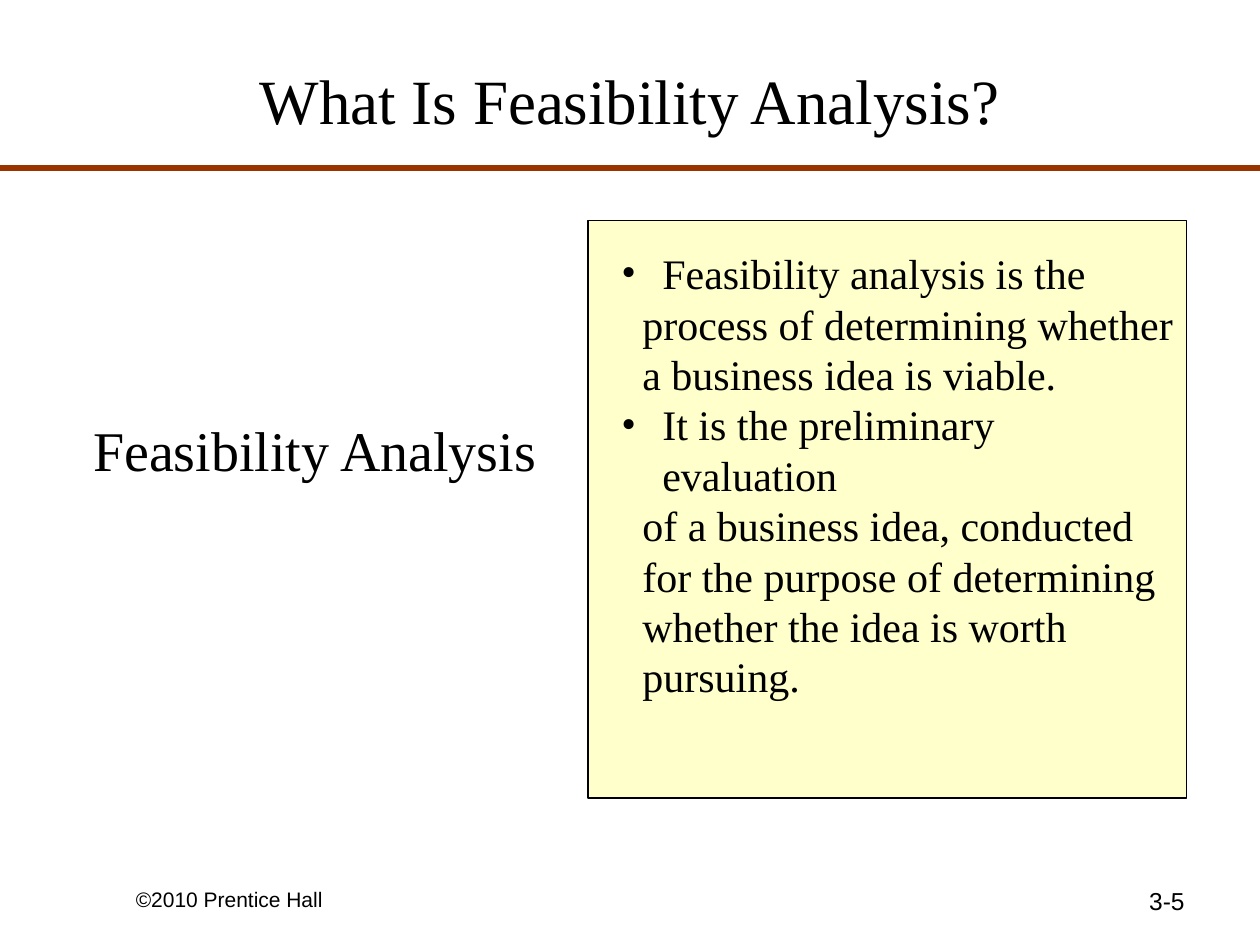
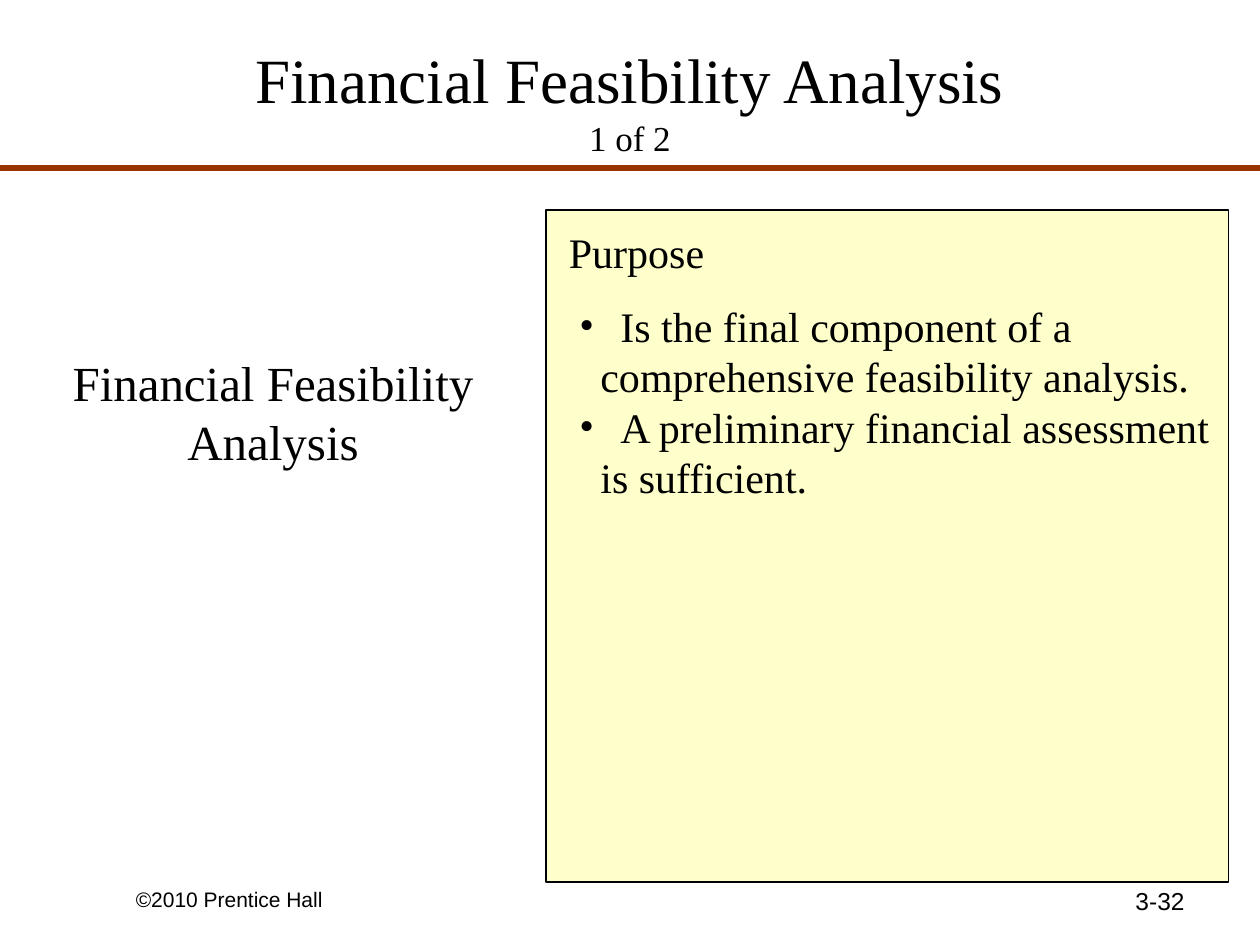
from pptx import Presentation
from pptx.dml.color import RGBColor
from pptx.enum.shapes import MSO_CONNECTOR, MSO_SHAPE
from pptx.enum.text import MSO_ANCHOR, PP_ALIGN
from pptx.util import Pt
from lxml.etree import SubElement
from pptx.oxml.ns import qn


class Theme:
    ink = RGBColor(0x00, 0x00, 0x00)
    rule = RGBColor(0x99, 0x33, 0x00)
    panel = RGBColor(0xFF, 0xFF, 0xCC)
    serif = "Times New Roman"
    sans = "Arial"
    title = 36
    count = 20
    body = 24
    foot = 12
    number = 14
    hang = 23.4
    inset = 12


def write(slide, box, lines, size, font=Theme.serif, align=PP_ALIGN.LEFT):
    frame = slide.shapes.add_textbox(*map(Pt, box)).text_frame
    frame.word_wrap = True
    frame.text = "\n".join(lines)
    for para in frame.paragraphs:
        para.alignment = align
        for run in para.runs:
            run.font.size = Pt(size)
            run.font.name = font
            run.font.color.rgb = Theme.ink
    return frame


def indent(para, left, bullet):
    props = para._p.get_or_add_pPr()
    props.set("marL", str(Pt(left)))
    props.set("indent", str(Pt(-left if bullet else 0)))
    if bullet:
        SubElement(props, qn("a:buFont"), typeface=Theme.serif)
        SubElement(props, qn("a:buChar"), char="•")


pages = [
    dict(
        title="What Is Feasibility Analysis?",
        number="3-5",
        label=("Feasibility Analysis", 32, (24, 234, 312, 46)),
        panel=(336, 126, 342, 330),
        head=None,
        area=(348, 138, 330, 238),
        points=[
            ["Feasibility analysis is the", "process of determining whether",
             "a business idea is viable."],
            ["It is the preliminary evaluation", "of a business idea, conducted",
             "for the purpose of determining", "whether the idea is worth",
             "pursuing."],
        ],
    ),
    dict(
        title="Financial Feasibility Analysis\v1 of 2",
        number="3-32",
        label=("Financial Feasibility Analysis", 28, (0, 198, 312, 75)),
        panel=(312, 120, 390, 384),
        head=("Purpose", (318, 126, 366, 36)),
        area=(324, 168, 384, 151),
        points=[
            ["Is the final component of a", "comprehensive feasibility analysis."],
            ["A preliminary financial assessment", "is sufficient."],
        ],
    ),
]

deck = Presentation()
deck.slide_width, deck.slide_height = Pt(720), Pt(540)

for page in pages:
    slide = deck.slides.add_slide(deck.slide_layouts[6])
    write(slide, (70.5, 503, 168, 20), ["©2010 Prentice Hall"], Theme.foot, Theme.sans)
    write(slide, (516, 502.5, 168, 37.5), [page["number"]], Theme.number, Theme.sans,
          PP_ALIGN.RIGHT)

    title = write(slide, (36, 12, 648, 90), [page["title"]], Theme.title,
                  align=PP_ALIGN.CENTER)
    title.vertical_anchor = MSO_ANCHOR.MIDDLE
    for run in title.paragraphs[0].runs[1:]:
        run.font.size = Pt(Theme.count)

    rule = slide.shapes.add_connector(MSO_CONNECTOR.STRAIGHT, 0, Pt(96), Pt(720), Pt(96))
    rule.line.color.rgb = Theme.rule
    rule.line.width = Pt(3)
    SubElement(rule._element.spPr, qn("a:effectLst"))

    text, size, box = page["label"]
    write(slide, box, [text], size, align=PP_ALIGN.CENTER)

    panel = slide.shapes.add_shape(MSO_SHAPE.RECTANGLE, *map(Pt, page["panel"]))
    panel.shadow.inherit = False
    panel.fill.solid()
    panel.fill.fore_color.rgb = Theme.panel
    panel.line.color.rgb = Theme.ink
    panel.line.width = Pt(0.75)

    if page["head"]:
        text, box = page["head"]
        write(slide, box, [text], Theme.body)

    lines = [line for point in page["points"] for line in point]
    starts = [point[0] for point in page["points"]]
    for para in write(slide, page["area"], lines, Theme.body).paragraphs:
        first = para.text in starts
        indent(para, Theme.hang if first else Theme.inset, first)

deck.save("out.pptx")
